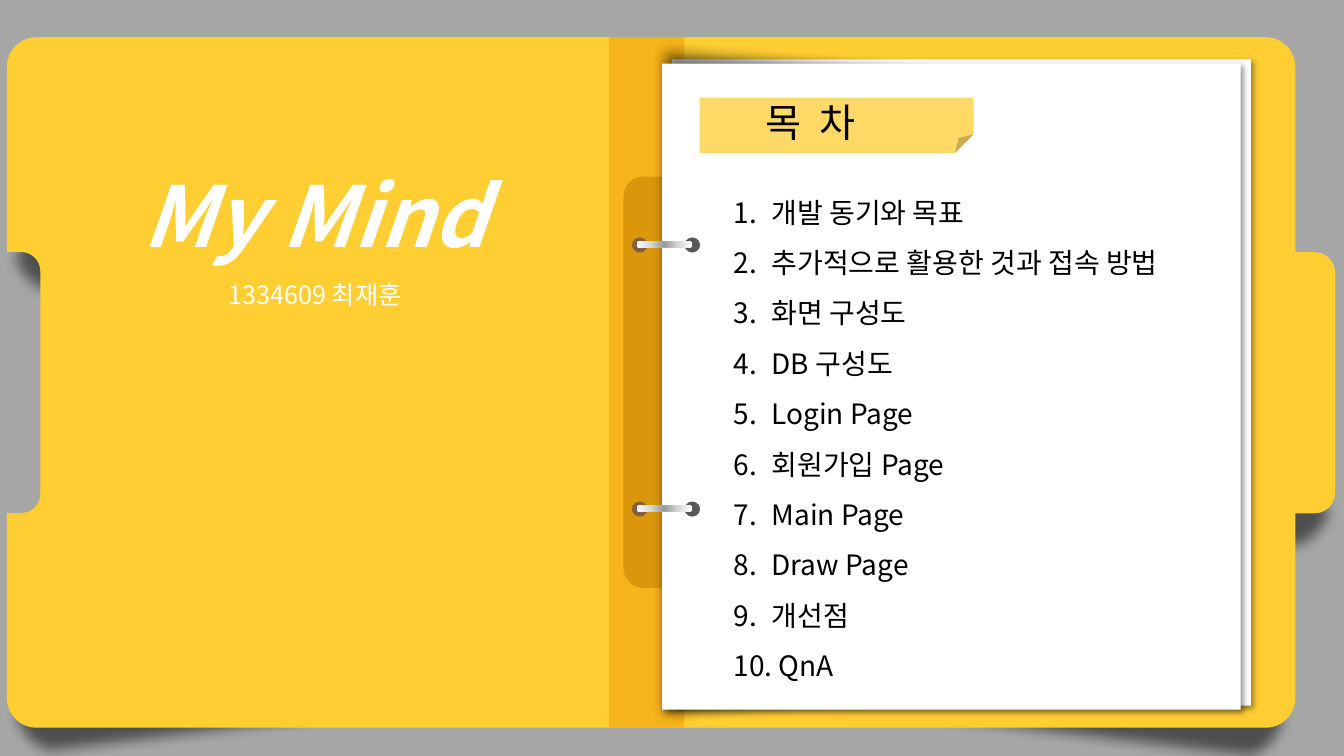
import math

import pptx
import pptx.dml.color
import pptx.enum.shapes
import pptx.enum.text
import pptx.oxml
import pptx.oxml.ns
import pptx.util

Pt = pptx.util.Pt
PRESET = pptx.enum.shapes.MSO_SHAPE
FONT = "Noto Sans CJK KR"
NAMESPACE = 'xmlns:a="http://schemas.openxmlformats.org/drawingml/2006/main"'
COLORS = {
    "desk": "A6A6A6", "folder": "FFCE33", "spine": "F6B31A", "pocket": "DB970B",
    "paper": "FFFFFF", "note": "FFD966", "ink": "000000", "title": "FFFFFF",
    "paper hole": "595959", "spine hole": "83603D",
}
COLORS = {part: pptx.dml.color.RGBColor.from_string(code) for part, code in COLORS.items()}
SOFT_SHADE = f'<a:effectLst {NAMESPACE}><a:softEdge rad="127000"/></a:effectLst>'
PAPER_SHADOW = (
    f'<a:effectLst {NAMESPACE}><a:outerShdw blurRad="50800" dist="38100" dir="2700000" '
    'algn="tl" rotWithShape="0"><a:srgbClr val="000000"><a:alpha val="40000"/></a:srgbClr>'
    "</a:outerShdw></a:effectLst>"
)
RING_GRADIENT = (
    f'<a:gradFill {NAMESPACE} rotWithShape="1"><a:gsLst>'
    '<a:gs pos="0"><a:srgbClr val="979797"/></a:gs>'
    '<a:gs pos="50000"><a:srgbClr val="D7D7D7"/></a:gs>'
    '<a:gs pos="100000"><a:srgbClr val="FFFFFF"/></a:gs></a:gsLst>'
    '<a:path path="circle"><a:fillToRect l="50000" t="50000" r="50000" b="50000"/></a:path>'
    "</a:gradFill>"
)


def add_part(preset, box, color, rotation=0, adjustments=None, effect=None):
    """Add a borderless preset shape; adjustments map guide names to fractions."""
    part = slide.shapes.add_shape(preset, *map(Pt, box))
    part.rotation = rotation
    if adjustments:
        guides = part._element.spPr.find(".//" + pptx.oxml.ns.qn("a:avLst"))
        for guide in list(guides):
            guides.remove(guide)
        for name, value in adjustments.items():
            guides.append(pptx.oxml.parse_xml(
                f'<a:gd {NAMESPACE} name="{name}" fmla="val {round(value * 100000)}"/>'))
    part.fill.solid()
    part.fill.fore_color.rgb = COLORS[color]
    part.line.fill.background()
    part.shadow.inherit = False
    if effect:
        properties = part._element.spPr
        properties.replace(properties.find(pptx.oxml.ns.qn("a:effectLst")),
                           pptx.oxml.parse_xml(effect))
    if effect == SOFT_SHADE:
        tint = part._element.spPr.find(".//" + pptx.oxml.ns.qn("a:srgbClr"))
        tint.append(pptx.oxml.parse_xml(f'<a:alpha {NAMESPACE} val="53000"/>'))
    return part


def add_text(box, lines, color, wrap, spacing):
    """Add a text box from (text, size) lines and return its paragraphs."""
    frame = slide.shapes.add_textbox(*map(Pt, box)).text_frame
    frame.word_wrap = wrap
    frame.auto_size = pptx.enum.text.MSO_AUTO_SIZE.SHAPE_TO_FIT_TEXT
    frame.text = "\n".join(text for text, size in lines)
    for paragraph, (text, size) in zip(frame.paragraphs, lines):
        paragraph.line_spacing = spacing
        paragraph.font.size = Pt(size)
        paragraph.font.name = FONT
        paragraph.font.color.rgb = COLORS[color]
        latin = paragraph._p.pPr.find(".//" + pptx.oxml.ns.qn("a:latin"))
        latin.addnext(pptx.oxml.parse_xml(f'<a:ea {NAMESPACE} typeface="{FONT}"/>'))
    return frame.paragraphs


presentation = pptx.Presentation()
presentation.slide_width, presentation.slide_height = Pt(960), Pt(540)
slide = presentation.slides.add_slide(presentation.slide_layouts[6])
slide.background.fill.solid()
slide.background.fill.fore_color.rgb = COLORS["desk"]

# Soft shades under the folder
for box, rotation, roundness in [
    ((870.5, 329, 89.3, 69.1), 15.3, 0.5),
    ((0, 148.3, 89.3, 69.1), -6.9, 0.5),
    ((628.6, 466.6, 298.1, 69.1), 6.9, 0.46),
    ((1.4, 463, 298.1, 69.1), -6.9, 0.46),
]:
    add_part(PRESET.ROUNDED_RECTANGLE, box, "ink", rotation, {"adj": roundness}, SOFT_SHADE)

# Folder outline, clockwise: four corners, then the notch on the left
left, top, right, bottom = 5, 26.6, 925.2, 519.8
notch_top, notch_bottom, notch_x = 180, 366.5, 15.1
corner, notch = 21, 13.7
outline = []
for x, y, radius, start, sweep in [
    (left + corner, top + corner, corner, 180, 90),
    (right - corner, top + corner, corner, 270, 90),
    (right - corner, bottom - corner, corner, 0, 90),
    (left + corner, bottom - corner, corner, 90, 90),
    (left, notch_bottom, 0, 0, 0),
    (notch_x, notch_bottom - notch, notch, 90, -90),
    (notch_x, notch_top + notch, notch, 0, -90),
    (left, notch_top, 0, 0, 0),
]:
    for step in range(13 if radius else 1):
        angle = math.radians(start + sweep * step / 12)
        outline.append((Pt(x + radius * math.cos(angle)), Pt(y + radius * math.sin(angle))))
builder = slide.shapes.build_freeform(*outline[0])
builder.add_line_segments(outline[1:], close=True)
folder = builder.convert_to_shape()
folder.fill.solid()
folder.fill.fore_color.rgb = COLORS["folder"]
folder.line.fill.background()
folder.shadow.inherit = False

# Tab, spine, pocket and papers
rounded_top = PRESET.ROUND_2_SAME_RECTANGLE
top_corners = {"adj1": 0.5, "adj2": 0}
add_part(rounded_top, (846, 259, 186.5, 28.8), "folder", 90, top_corners)
add_part(PRESET.RECTANGLE, (434.9, 26.6, 54, 493.2), "spine")
add_part(rounded_top, (312.5, 259, 293.8, 28.1), "pocket", 270, top_corners)
add_part(PRESET.RECTANGLE, (480.2, 42.5, 413.3, 461.5), "paper", effect=PAPER_SHADOW)
add_part(PRESET.TRAPEZOID, (321.8, 169.9, 493.2, 206.6), "ink", 90, {"adj": 0.08}, SOFT_SHADE)
add_part(PRESET.RECTANGLE, (473, 45.4, 413.3, 461.5), "paper", effect=PAPER_SHADOW)

# Binder rings
for ring_top in (169.6, 358.2):
    add_part(PRESET.OVAL, (488.9, ring_top, 11.2, 10.8), "paper hole")
    add_part(PRESET.OVAL, (451.4, ring_top, 11.2, 10.8), "spine hole")
    ring = add_part(PRESET.RECTANGLE, (455, ring_top + 3.2, 39.2, 3.9), "paper")
    ring_properties = ring._element.spPr
    ring_properties.replace(ring_properties.find(pptx.oxml.ns.qn("a:solidFill")),
                            pptx.oxml.parse_xml(RING_GRADIENT))

# Cover title
cover = add_text((66.2, 77, 317.5, 144.7), [("My Mind", 60), ("1334609 최재훈", 18)],
                 "title", True, 1.5)
for paragraph in cover:
    paragraph.alignment = pptx.enum.text.PP_ALIGN.CENTER
cover[0].font.bold = cover[0].font.italic = True

# Contents
add_part(PRESET.FOLDED_CORNER, (499.7, 69.8, 195.8, 39.6), "note", adjustments={"adj": 0.34})
add_text((533.5, 67, 108.7, 41), [(" 목  차", 28)], "ink", False, 1)
topics = ["개발 동기와 목표", "추가적으로 활용한 것과 접속 방법", "화면 구성도", "DB 구성도",
          "Login Page", "회원가입 Page", "Main Page", "Draw Page", "개선점", " QnA"]
contents = add_text((517, 123.8, 352.8, 365.8), [(topic, 20) for topic in topics],
                    "ink", False, 1.5)
for paragraph in contents:
    indents = paragraph._p.pPr
    indents.set("marL", str(Pt(27)))
    indents.set("indent", str(-Pt(27)))
    indents.find(pptx.oxml.ns.qn("a:defRPr")).addprevious(
        pptx.oxml.parse_xml(f'<a:buAutoNum {NAMESPACE} type="arabicPeriod"/>'))

presentation.save("out.pptx")
